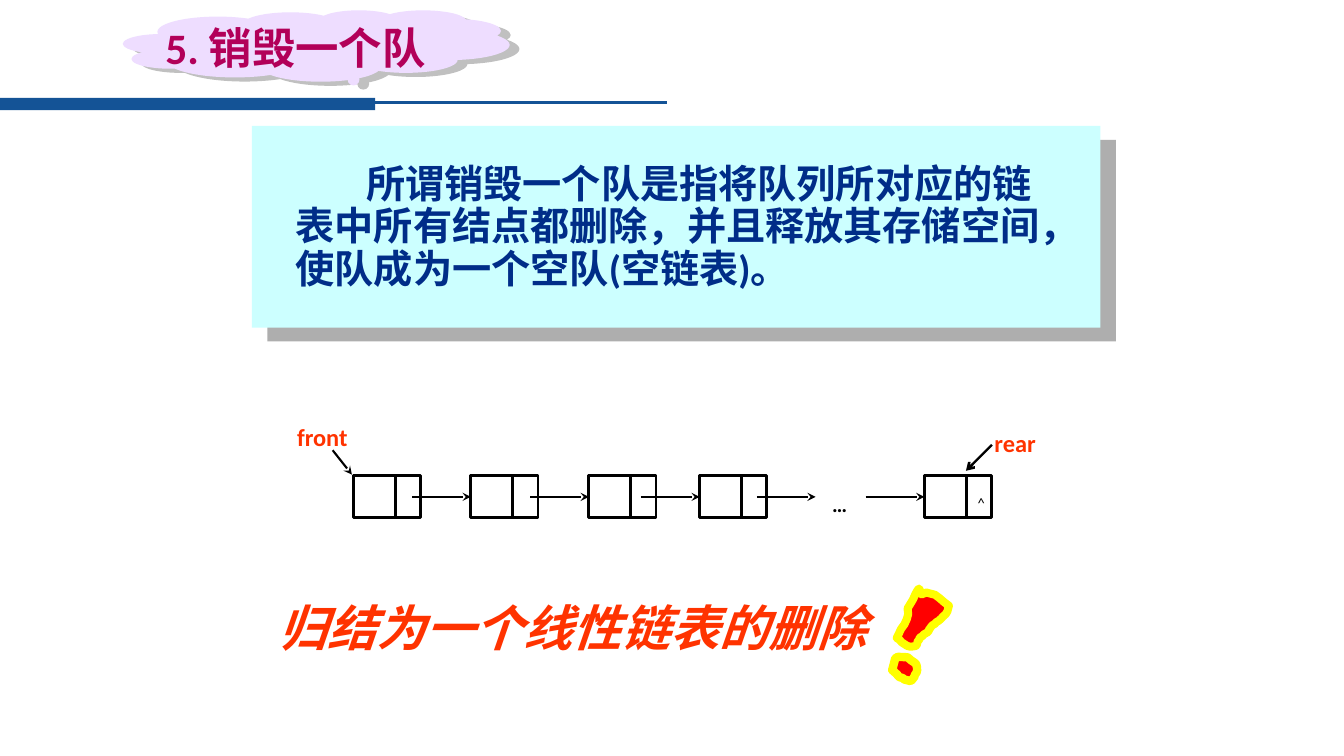
"""Build the slide on destroying a linked queue, on a grid of 160 columns by 90 rows."""
from dataclasses import dataclass
from typing import NamedTuple

import lxml.etree
import pptx
import pptx.dml.color
import pptx.enum.shapes
import pptx.enum.text
import pptx.oxml.ns
import pptx.util

COLUMNS, ROWS, CELLS_PER_INCH = 160, 90, 12
Shapes = pptx.enum.shapes.MSO_SHAPE
Align = pptx.enum.text.PP_ALIGN


@dataclass(frozen=True)
class Theme:
    """Colours, type sizes and font of the slide."""
    font: str = "Calibri"
    rule: str = "145396"
    panel: str = "CCFFFF"
    panel_shadow: str = "AEAEAE"
    cloud: str = "EEDDFF"
    cloud_shadow: str = "C0C0C0"
    title: str = "B20059"
    body: str = "002D88"
    accent: str = "FF3300"
    ink: str = "000000"
    mark: str = "FF0000"
    glow: str = "FFFF00"
    title_size: float = 31
    body_size: float = 28
    closing_size: float = 35
    pointer_size: float = 30
    dots_size: float = 26
    null_size: float = 18


class Frame(NamedTuple):
    """A rectangle in columns and rows."""
    left: float
    top: float
    width: float
    height: float


class Point(NamedTuple):
    """A place in columns and rows."""
    column: float
    row: float


class Shadow(NamedTuple):
    """An offset shadow: colour, distance in points, angle in degrees."""
    colour: str
    distance: float
    angle: float


class Label(NamedTuple):
    """A lowered, centred caption of the diagram."""
    text: str
    frame: Frame
    size: float
    colour: str
    bold: bool


class Arrow(NamedTuple):
    """A free arrow between two points."""
    start: Point
    end: Point
    width: float
    head: str


class Stroke(NamedTuple):
    """A closed outline in hundredths of an inch: a start and cubic curves of three points each."""
    start: tuple
    curves: list
    outline: float


THEME = Theme()
NODE_TOP, DATA_WIDTH, LINK_WIDTH, NODE_HEIGHT = 56.65, 5, 3, 5
NODE_MIDDLE = NODE_TOP + NODE_HEIGHT / 2
NODE_COLUMNS = [42.1, 56.05, 70.1, 83.3, 110.05]
LINK_LENGTH = 7
DOTS_LINK_END = 97.1

LABELS = [
    Label("…", Frame(97.55, 55.7, 4.8, 4.7), THEME.dots_size, THEME.ink, True),
    Label("^", Frame(115.2, 56.65, 3.25, 3.6), THEME.null_size, THEME.ink, False),
    Label("front", Frame(34, 47.05, 8.75, 5.3), THEME.pointer_size, THEME.accent, True),
    Label("rear", Frame(117, 47.75, 7.7, 5.3), THEME.pointer_size, THEME.accent, True),
]
POINTER_ARROWS = [
    Arrow(Point(39.6, 53.6), Point(41.9, 56.5), 1.5, "stealth"),
    Arrow(Point(118.1, 52.95), Point(115, 56.05), 1.75, "arrow"),
]
EXCLAMATION = [
    Stroke((908, 591), [
        ((914, 583), (927, 591), (937, 595)), ((938, 601), (934, 607), (931, 612)),
        ((930, 614), (926, 618), (926, 618)), ((925, 621), (924, 624), (922, 627)),
        ((921, 629), (917, 633), (917, 633)), ((916, 637), (917, 642), (913, 643)),
        ((908, 646), (900, 641), (895, 639)), ((895, 628), (904, 619), (898, 608)),
        ((906, 586), (900, 581), (908, 591))], 5.75),
    Stroke((897, 652), [
        ((884, 655), (886, 652), (886, 664)), ((886, 665), (885, 667), (886, 668)),
        ((889, 670), (895, 673), (895, 673)), ((898, 673), (902, 675), (906, 674)),
        ((907, 674), (908, 672), (908, 671)), ((909, 667), (912, 662), (908, 657)),
        ((907, 656), (897, 652), (897, 652))], 6),
]


def span(cells: float) -> int:
    """Turn grid cells into a length."""
    return pptx.util.Inches(cells / CELLS_PER_INCH)


def colour(code: str) -> pptx.dml.color.RGBColor:
    """Turn a hexadecimal code into a colour."""
    return pptx.dml.color.RGBColor.from_string(code)


def add_element(parent, name: str, **attributes: str):
    """Append a drawing element to its parent."""
    return lxml.etree.SubElement(parent, pptx.oxml.ns.qn(f"a:{name}"), attributes)


def paint(shape, fill: str = "", line: str = "", width: float = 0, shadow: Shadow | None = None) -> None:
    """Set the fill, line and shadow of a shape."""
    if fill:
        shape.fill.solid()
        shape.fill.fore_color.rgb = colour(fill)
    else:
        shape.fill.background()
    if line:
        shape.line.color.rgb = colour(line)
        shape.line.width = pptx.util.Pt(width)
    else:
        shape.line.fill.background()
    shape.shadow.inherit = False
    if shadow:
        effects = shape.element.spPr.find(pptx.oxml.ns.qn("a:effectLst"))
        outer = add_element(effects, "outerShdw", dist=str(int(pptx.util.Pt(shadow.distance))),
                            dir=str(shadow.angle * 60000), algn="ctr", rotWithShape="0")
        add_element(outer, "srgbClr", val=shadow.colour)


def add_block(page, kind, frame: Frame, **style):
    """Draw a painted preset shape."""
    shape = page.shapes.add_shape(kind, *map(span, frame))
    paint(shape, **style)
    return shape


def add_line(page, start: Point, end: Point, line: str, width: float, head: str = "", target=None) -> None:
    """Draw a straight line, with a head and a joined target where given."""
    connector = page.shapes.add_connector(pptx.enum.shapes.MSO_CONNECTOR.STRAIGHT, *map(span, start + end))
    connector.line.color.rgb = colour(line)
    connector.line.width = pptx.util.Pt(width)
    if head:
        add_element(connector.get_or_add_ln(), "tailEnd", type=head)
    add_element(connector.element.spPr, "effectLst")
    if target is not None:
        connector.end_connect(target, 1)


def write(box, text: str, size: float, code: str, bold: bool = True, italic: bool = False):
    """Write one paragraph in a box and format it."""
    frame = box.text_frame
    frame.text = text
    frame.word_wrap = True
    frame.auto_size = pptx.enum.text.MSO_AUTO_SIZE.NONE
    frame.vertical_anchor = pptx.enum.text.MSO_ANCHOR.TOP
    para = frame.paragraphs[0]
    para.alignment = Align.LEFT
    para.space_before = pptx.util.Pt(0)
    font = para.runs[0].font
    font.name, font.size, font.bold, font.italic = THEME.font, pptx.util.Pt(size), bold, italic
    font.color.rgb = colour(code)
    return para


def place(box, frame: Frame) -> None:
    """Move a placeholder to its frame, in front of what is drawn so far."""
    box.left, box.top, box.width, box.height = map(span, frame)
    box.element.getparent().append(box.element)


def add_label(page, label: Label) -> None:
    """Write a lowered, centred caption."""
    box = page.shapes.add_textbox(*map(span, label.frame))
    para = write(box, label.text, label.size, label.colour, label.bold)
    para.alignment = Align.CENTER
    para.runs[0].font._element.set("baseline", "-10000")
    box.text_frame.word_wrap = False


def curve_points(stroke: Stroke, steps: int = 6) -> list:
    """Sample the curves of a stroke as points."""
    points, start = [], stroke.start
    for first, second, end in stroke.curves:
        for step in range(1, steps + 1):
            t = step / steps
            points.append(tuple((1 - t) ** 3 * a + 3 * (1 - t) ** 2 * t * b + 3 * (1 - t) * t ** 2 * c + t ** 3 * d
                                for a, b, c, d in zip(start, first, second, end)))
        start = end
    return points


def add_stroke(page, stroke: Stroke) -> None:
    """Draw a tilted part of the exclamation mark."""
    builder = page.shapes.build_freeform(*stroke.start, scale=pptx.util.Inches(0.01))
    builder.add_line_segments(curve_points(stroke), close=True)
    shape = builder.convert_to_shape()
    paint(shape, THEME.mark, THEME.glow, stroke.outline)
    shape.rotation = 14.6


def add_queue(page) -> None:
    """Draw the linked nodes with their arrows and captions."""
    cells = []
    for left in NODE_COLUMNS:
        data, _ = [add_block(page, Shapes.RECTANGLE, Frame(left + shift, NODE_TOP, width, NODE_HEIGHT),
                             line=THEME.ink, width=2)
                   for shift, width in ((0, DATA_WIDTH), (DATA_WIDTH, LINK_WIDTH))]
        cells.append(data)
    for end, target in [*zip(NODE_COLUMNS[1:], cells[1:]), (DOTS_LINK_END, None)]:
        add_line(page, Point(end - LINK_LENGTH, NODE_MIDDLE), Point(end, NODE_MIDDLE),
                 THEME.ink, 1.75, "stealth", target)
    for label in LABELS:
        add_label(page, label)
    for arrow in POINTER_ARROWS:
        add_line(page, arrow.start, arrow.end, THEME.ink, arrow.width, arrow.head)


def main() -> None:
    """Assemble and save the slide."""
    deck = pptx.Presentation()
    deck.slide_width, deck.slide_height = span(COLUMNS), span(ROWS)
    page = deck.slides.add_slide(deck.slide_layouts[1])
    title, body = page.placeholders

    add_block(page, Shapes.RECTANGLE, Frame(0, 11.65, 44.65, 1.45), fill=THEME.rule)
    add_line(page, Point(44.15, 12.25), Point(79.45, 12.25), THEME.rule, 2.25)

    add_block(page, Shapes.RECTANGLE, Frame(30, 15, 101, 24), fill=THEME.panel,
              shadow=Shadow(THEME.panel_shadow, 14.9, 42))
    place(body, Frame(34, 19, 94, 16.3))
    para = write(body, "所谓销毁一个队是指将队列所对应的链表中所有结点都删除，并且释放其存储空间，使队成为一个空队(空链表)。",
                 THEME.body_size, THEME.body)
    para.line_spacing = 0.9
    properties = para._p.get_or_add_pPr()
    properties.set("marL", "0")
    properties.set("indent", str(int(pptx.util.Inches(0.7))))
    add_element(properties, "buNone")

    add_queue(page)

    closing = page.shapes.add_textbox(*map(span, Frame(32, 70.55, 77, 8.15)))
    write(closing, "归结为一个线性链表的删除", THEME.closing_size, THEME.accent, italic=True)
    for stroke in EXCLAMATION:
        add_stroke(page, stroke)

    cloud = add_block(page, Shapes.CLOUD_CALLOUT, Frame(14.65, 1.2, 46, 8.5), fill=THEME.cloud,
                      shadow=Shadow(THEME.cloud_shadow, 7.6, 23))
    cloud.adjustments[0], cloud.adjustments[1] = 0.082, 0.402
    place(title, Frame(18.5, 1.9, 47.5, 7.45))
    write(title, "5. 销毁一个队", THEME.title_size, THEME.title)
    deck.save("out.pptx")


if __name__ == "__main__":
    main()
